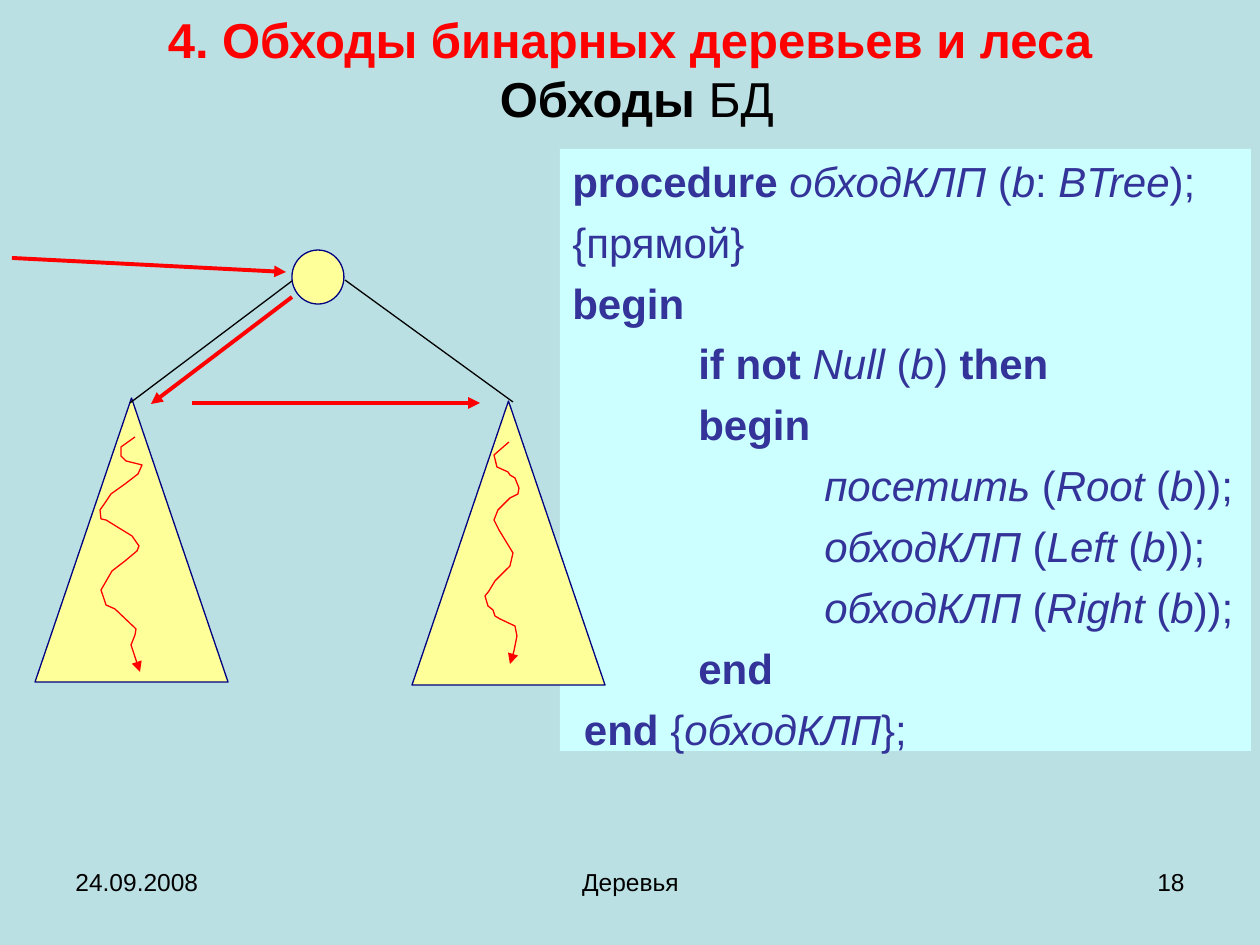
from dataclasses import dataclass

from lxml.etree import SubElement
from pptx import Presentation
from pptx.dml.color import RGBColor
from pptx.enum.shapes import MSO_CONNECTOR as Connector, MSO_SHAPE as Preset
from pptx.enum.text import MSO_ANCHOR as Anchor, MSO_AUTO_SIZE as AutoSize, PP_ALIGN as Align
from pptx.oxml.ns import qn
from pptx.util import Emu, Pt

SCALE = 914400 / 126  # EMU in one px


def px(length):
    return Emu(round(length * SCALE))


@dataclass(frozen=True)
class Theme:
    font: str = "Arial"
    ground: str = "BBE0E3"
    panel: str = "CCFFFF"
    code: str = "333399"
    node: str = "FFFF99"
    outline: str = "000080"
    accent: str = "FF0000"
    ink: str = "000000"
    title_size: int = 28
    code_size: int = 24
    footer_size: int = 14
    code_gap: int = 6
    thin: float = 0.75
    thick: float = 2.25


class SlideBuilder:
    def __init__(self, page, theme):
        self.page = page
        self.theme = theme
        page.background.fill.solid()
        page.background.fill.fore_color.rgb = RGBColor.from_string(theme.ground)

    def spans(self, para, markup, size, color):
        """Add runs split by |, where a leading * is bold and _ is italic."""
        for part in markup.split("|"):
            span = para.add_run()
            span.text = part.lstrip("*_")
            span.font.color.rgb = RGBColor.from_string(color)
            formats = {"name": self.theme.font, "size": Pt(size),
                       "bold": part.startswith("*"), "italic": part.startswith("_")}
            for name, value in formats.items():
                setattr(span.font, name, value)

    def frame(self, box, anchor=Anchor.TOP):
        formats = {"word_wrap": True, "auto_size": AutoSize.NONE, "vertical_anchor": anchor}
        for name, value in formats.items():
            setattr(box.text_frame, name, value)
        return box.text_frame

    def title(self, left, top, width, height, lines):
        box = self.page.shapes.title
        for name, value in zip(("left", "top", "width", "height"), (left, top, width, height)):
            setattr(box, name, px(value))
        para = self.frame(box, Anchor.MIDDLE).paragraphs[0]
        para.alignment = Align.CENTER
        size = self.theme.title_size
        for index, (markup, color) in enumerate(lines):
            if index:
                para.add_line_break()
                SubElement(para._p[-1], qn("a:rPr"), sz=str(size * 100))
            self.spans(para, markup, size, color)

    def label(self, left, top, width, height, text, align):
        box = self.page.shapes.add_textbox(px(left), px(top), px(width), px(height))
        para = self.frame(box).paragraphs[0]
        para.alignment = align
        self.spans(para, text, self.theme.footer_size, self.theme.ink)

    def shape(self, preset, left, top, width, height, fill, line=None):
        box = self.page.shapes.add_shape(preset, px(left), px(top), px(width), px(height))
        box.shadow.inherit = False
        box.fill.solid()
        box.fill.fore_color.rgb = RGBColor.from_string(fill)
        if line:
            self.stroke(box, line, self.theme.thin)
        else:
            box.line.fill.background()
        return box

    def code(self, left, top, width, height, lines):
        box = self.shape(Preset.RECTANGLE, left, top, width, height, self.theme.panel)
        frame = self.frame(box)
        for index, markup in enumerate(lines):
            para = frame.add_paragraph() if index else frame.paragraphs[0]
            para.alignment = Align.LEFT
            if index:
                para.space_before = Pt(self.theme.code_gap)
            stops = SubElement(para._p.get_or_add_pPr(), qn("a:tabLst"))
            for level in (1, 2):
                SubElement(stops, qn("a:tab"), pos=str(px(126 * level)), algn="l")
            self.spans(para, markup, self.theme.code_size, self.theme.code)

    def stroke(self, item, color, weight, arrow=False):
        item.line.color.rgb = RGBColor.from_string(color)
        item.line.width = Pt(weight)
        if arrow:
            SubElement(item.line._get_or_add_ln(), qn("a:tailEnd"), type="triangle")

    def line(self, start, end, color, weight, arrow=False):
        item = self.page.shapes.add_connector(
            Connector.STRAIGHT, *(px(value) for value in (*start, *end)))
        self.stroke(item, color, weight, arrow)
        SubElement(item._element.spPr, qn("a:effectLst"))

    def squiggle(self, points):
        builder = self.page.shapes.build_freeform(*points[0], scale=SCALE)
        builder.add_line_segments(points[1:], close=False)
        item = builder.convert_to_shape()
        item.shadow.inherit = False
        item.fill.background()
        self.stroke(item, self.theme.accent, self.theme.thin, arrow=True)


CODE = [
    "*procedure |_обходКЛП| (|_b|: |_BTree|);",
    "{прямой}",
    "*begin",
    "*\tif not |_Null| (|_b|) |*then",
    "*\tbegin",
    "\t\t|_посетить| (|_Root| (|_b|));",
    "\t\t|_обходКЛП| (|_Left| (|_b|));",
    "\t\t|_обходКЛП| (|_Right| (|_b|));",
    "*\tend",
    "* end |{|_обходКЛП|};",
]
LEFT_WALK = [
    (135, 437), (121, 447), (121, 456), (126, 461), (142, 465), (138, 474), (125, 484),
    (111, 494), (105, 503), (100, 510), (101, 519), (106, 520), (132, 536), (139, 546),
    (137, 551), (125, 561), (112, 571), (101, 590), (106, 605), (115, 609), (136, 629),
    (135, 635), (131, 645), (140, 672),
]
RIGHT_WALK = [
    (509, 442), (494, 455), (497, 467), (508, 472), (510, 475), (515, 478), (519, 488),
    (518, 494), (510, 498), (498, 510), (494, 520), (499, 530), (513, 553), (510, 566),
    (495, 581), (489, 591), (485, 596), (488, 606), (493, 610), (495, 616), (500, 619),
    (515, 626), (517, 636), (514, 651), (510, 664),
]


def main():
    theme = Theme()
    deck = Presentation()
    deck.slide_width, deck.slide_height = px(1260), px(945)
    slide = SlideBuilder(deck.slides.add_slide(deck.slide_layouts[5]), theme)

    # Code panel and title
    slide.code(560, 149, 691, 602, CODE)
    slide.title(63, 0, 1134, 137, [
        ("*4. Обходы бинарных деревьев и леса", theme.accent),
        ("* Обходы| БД", theme.ink),
    ])

    # Subtrees, root and branches
    for left, top in ((35, 398), (412, 401)):
        slide.shape(Preset.ISOSCELES_TRIANGLE, left, top, 193, 284, theme.node, theme.outline)
    slide.shape(Preset.OVAL, 292, 250, 52, 54, theme.node, theme.outline)
    for start, end in (((292, 281), (130, 403)), ((513, 402), (345, 280))):
        slide.line(start, end, theme.ink, theme.thin)

    # Traversal order
    for start, end in (((12, 258), (286, 272)), ((292, 297), (151, 404)), ((192, 403), (480, 403))):
        slide.line(start, end, theme.accent, theme.thick, arrow=True)
    for walk in (LEFT_WALK, RIGHT_WALK):
        slide.squiggle(walk)

    # Footer
    for left, width, text, align in (
        (431, 399, "Деревья", Align.CENTER),
        (903, 294, "18", Align.RIGHT),
        (63, 294, "24.09.2008", Align.LEFT),
    ):
        slide.label(left, 861, width, 65, text, align)

    deck.save("out.pptx")


if __name__ == "__main__":
    main()
